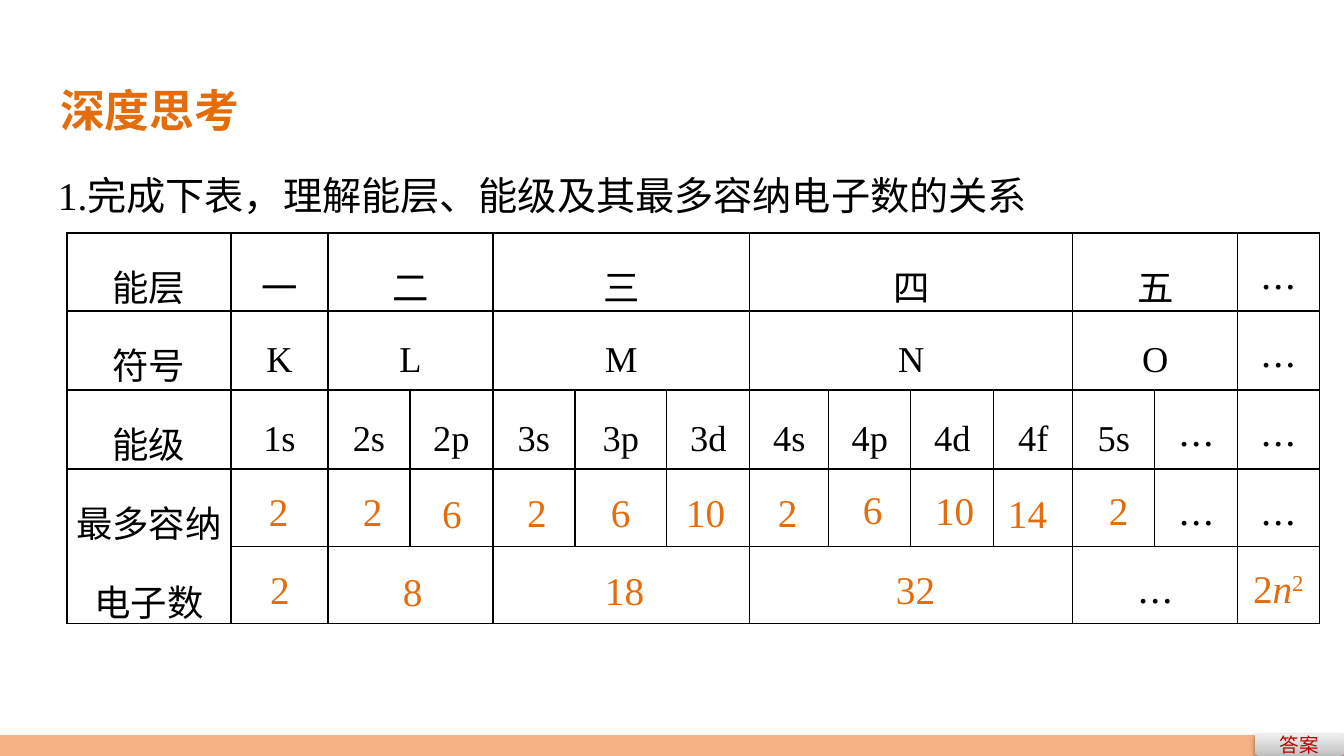
from copy import deepcopy
from itertools import accumulate
from typing import NamedTuple

from lxml import etree
from pptx import Presentation
from pptx.dml.color import RGBColor
from pptx.enum.shapes import MSO_SHAPE
from pptx.enum.text import MSO_ANCHOR, MSO_AUTO_SIZE, PP_ALIGN
from pptx.oxml.ns import qn
from pptx.util import Emu, Pt

CENTER, LEFT, JUSTIFY = PP_ALIGN.CENTER, PP_ALIGN.LEFT, PP_ALIGN.JUSTIFY
MIDDLE, TOP = MSO_ANCHOR.MIDDLE, MSO_ANCHOR.TOP
GROW = MSO_AUTO_SIZE.SHAPE_TO_FIT_TEXT
RECTANGLE, ROUNDED = MSO_SHAPE.RECTANGLE, MSO_SHAPE.ROUNDED_RECTANGLE

PAGE_WIDTH, PAGE_HEIGHT = 1344, 756
EMU_PER_PX = 12192000 / PAGE_WIDTH
SERIF, SANS, CHINESE = "Times New Roman", "Arial", "Noto Sans CJK SC"
COLORS = {
    "accent": "E46C0A",
    "text": "000000",
    "footer": "F4B183",
    "button": "C00000",
}
BUTTON_STOPS = ((0, "BDBDBD"), (0.35, "D1D1D1"), (1, "EEEEEE"))


class Answer(NamedTuple):
    text: str
    left: int
    top: int


COLUMN_WIDTHS = (164, 97, 82, 83, 82, 92, 83, 79, 82, 83, 79, 82, 83, 82)
ROW_HEIGHTS = (78, 79, 79, 78, 77)
LAYER_SPANS = (1, 1, 2, 3, 4, 2, 1)
LEVEL_SPANS = (1,) * len(COLUMN_WIDTHS)
TABLE_ROWS = (
    (LAYER_SPANS, ("能层", "一", "二", "三", "四", "五", "…")),
    (LAYER_SPANS, ("符号", "K", "L", "M", "N", "O", "…")),
    (LEVEL_SPANS, ("能级", "1s", "2s", "2p", "3s", "3p", "3d",
                   "4s", "4p", "4d", "4f", "5s", "…", "…")),
    (LEVEL_SPANS, ("最多容纳电子数", *[""] * 11, "…", "…")),
    (LAYER_SPANS, ("", "", "", "", "", "…", "")),
)
ANSWERS = (
    Answer("2", 259, 482), Answer("2", 353, 482), Answer("6", 432, 484),
    Answer("2", 517, 483), Answer("6", 601, 483), Answer("10", 676, 483),
    Answer("2", 768, 483), Answer("6", 853, 480), Answer("10", 925, 481),
    Answer("14", 998, 484), Answer("2", 1099, 481),
    Answer("2", 260, 560), Answer("8", 393, 562), Answer("18", 595, 561),
    Answer("32", 886, 560),
)


def px(length: float) -> Emu:
    return Emu(round(length * EMU_PER_PX))


def place(left: int, top: int, width: int, height: int) -> tuple:
    return px(left), px(top), px(width), px(height)


def add_span(para, text: str, *, size: int, color: str = "text", font: str = SERIF,
             bold: bool = False, italic: bool = False, baseline: int = 0) -> None:
    span = para.add_run()
    span.text = text
    span.font.size, span.font.name = Pt(size), font
    span.font.bold, span.font.italic = bold, italic
    span.font.color.rgb = RGBColor.from_string(COLORS[color])
    properties = span.font._element
    etree.SubElement(properties, qn("a:ea"), typeface=CHINESE)
    if baseline:
        properties.set("baseline", str(baseline * 1000))


def write(frame, text: str, *, align=LEFT, spacing: float = 1.0, **style):
    para = frame.paragraphs[0]
    para.alignment, para.line_spacing = align, spacing
    add_span(para, text, **style)
    return para


def set_frame(frame, *, wrap: bool, side: int = 10, end: int = 5) -> None:
    frame.word_wrap, frame.auto_size = wrap, GROW
    frame.vertical_anchor = TOP
    frame.margin_left = frame.margin_right = px(side)
    frame.margin_top = frame.margin_bottom = px(end)


def add_answer(page, answer: Answer, width: int):
    box = page.shapes.add_textbox(*place(answer.left, answer.top, width, 57))
    set_frame(box.text_frame, wrap=False)
    return write(box.text_frame, answer.text, size=28, color="accent")


def draw_borders(cell) -> None:
    properties = cell._tc.get_or_add_tcPr()
    for index, side in enumerate(("lnL", "lnR", "lnT", "lnB")):
        line = etree.Element(qn(f"a:{side}"), w=str(Pt(1)))
        fill = etree.SubElement(line, qn("a:solidFill"))
        etree.SubElement(fill, qn("a:srgbClr"), val=COLORS["text"])
        properties.insert(index, line)


def add_level_table(page) -> None:
    bounds = place(67, 233, sum(COLUMN_WIDTHS), sum(ROW_HEIGHTS))
    table = page.shapes.add_table(len(ROW_HEIGHTS), len(COLUMN_WIDTHS), *bounds).table
    table.first_row = table.horz_banding = False
    for column, width in zip(table.columns, COLUMN_WIDTHS):
        column.width = px(width)
    for row, height in zip(table.rows, ROW_HEIGHTS):
        row.height = px(height)
    for cell in table.iter_cells():
        cell.fill.background()
        cell.margin_left = cell.margin_right = px(4)
        cell.margin_top = cell.margin_bottom = 0
        cell.vertical_anchor = MIDDLE
        draw_borders(cell)
    for row, (spans, texts) in enumerate(TABLE_ROWS):
        starts = accumulate(spans, initial=0)
        for column, count, text in zip(starts, spans, texts):
            cell = table.cell(row, column)
            if count > 1:
                cell.merge(table.cell(row, column + count - 1))
            if text:
                write(cell.text_frame, text, align=CENTER, spacing=1.5, size=26,
                      font=CHINESE if text == "…" else SERIF)
    table.cell(3, 0).merge(table.cell(4, 0))


def add_footer_shape(page, kind, bounds: tuple):
    shape = page.shapes.add_shape(kind, *place(*bounds))
    shape.line.fill.background()
    shape.shadow.inherit = False
    effects = shape._element.spPr.find(qn("a:effectLst"))
    shadow = etree.SubElement(effects, qn("a:outerShdw"), blurRad=str(Pt(3.1)),
                              dist=str(Pt(1.6)), dir="5400000", rotWithShape="0")
    color = etree.SubElement(shadow, qn("a:srgbClr"), val=COLORS["text"])
    etree.SubElement(color, qn("a:alpha"), val="38000")
    return shape


def add_footer(page) -> None:
    band = add_footer_shape(page, RECTANGLE, (0, 735, PAGE_WIDTH, 21))
    band.fill.solid()
    band.fill.fore_color.rgb = RGBColor.from_string(COLORS["footer"])

    button = add_footer_shape(page, ROUNDED, (1255, 734, 89, 22))
    button.fill.gradient()
    button.fill.gradient_angle = 90
    stops = button._element.spPr.find(".//" + qn("a:gsLst"))
    stops.append(deepcopy(stops[0]))
    for stop, (position, color) in zip(button.fill.gradient_stops, BUTTON_STOPS):
        stop.position = position
        stop.color.rgb = RGBColor.from_string(color)
    button.text_frame.vertical_anchor = MIDDLE
    write(button.text_frame, "答案", align=CENTER, size=14, color="button", font=CHINESE)


def main() -> None:
    deck = Presentation()
    deck.slide_width, deck.slide_height = px(PAGE_WIDTH), px(PAGE_HEIGHT)
    page = deck.slides.add_slide(deck.slide_layouts[5])

    # Title and question
    title = page.shapes.title
    title.left, title.top, title.width, title.height = place(47, 76, 244, 68)
    set_frame(title.text_frame, wrap=True, side=13, end=7)
    write(title.text_frame, "深度思考", size=32, color="accent", font=SANS, bold=True)
    question = page.shapes.add_textbox(*place(45, 141, 1255, 76))
    set_frame(question.text_frame, wrap=True, side=13, end=7)
    write(question.text_frame, "1.完成下表，理解能层、能级及其最多容纳电子数的关系",
          align=JUSTIFY, spacing=1.5, size=28)

    # Table and the answers laid over it
    add_level_table(page)
    for answer in ANSWERS:
        add_answer(page, answer, 21 + 20 * len(answer.text))
    formula = add_answer(page, Answer("2", 1243, 559), 74)
    add_span(formula, "n", size=28, color="accent", italic=True)
    add_span(formula, "2", size=28, color="accent", baseline=30)

    # Footer band and button
    add_footer(page)
    deck.save("out.pptx")


if __name__ == "__main__":
    main()
